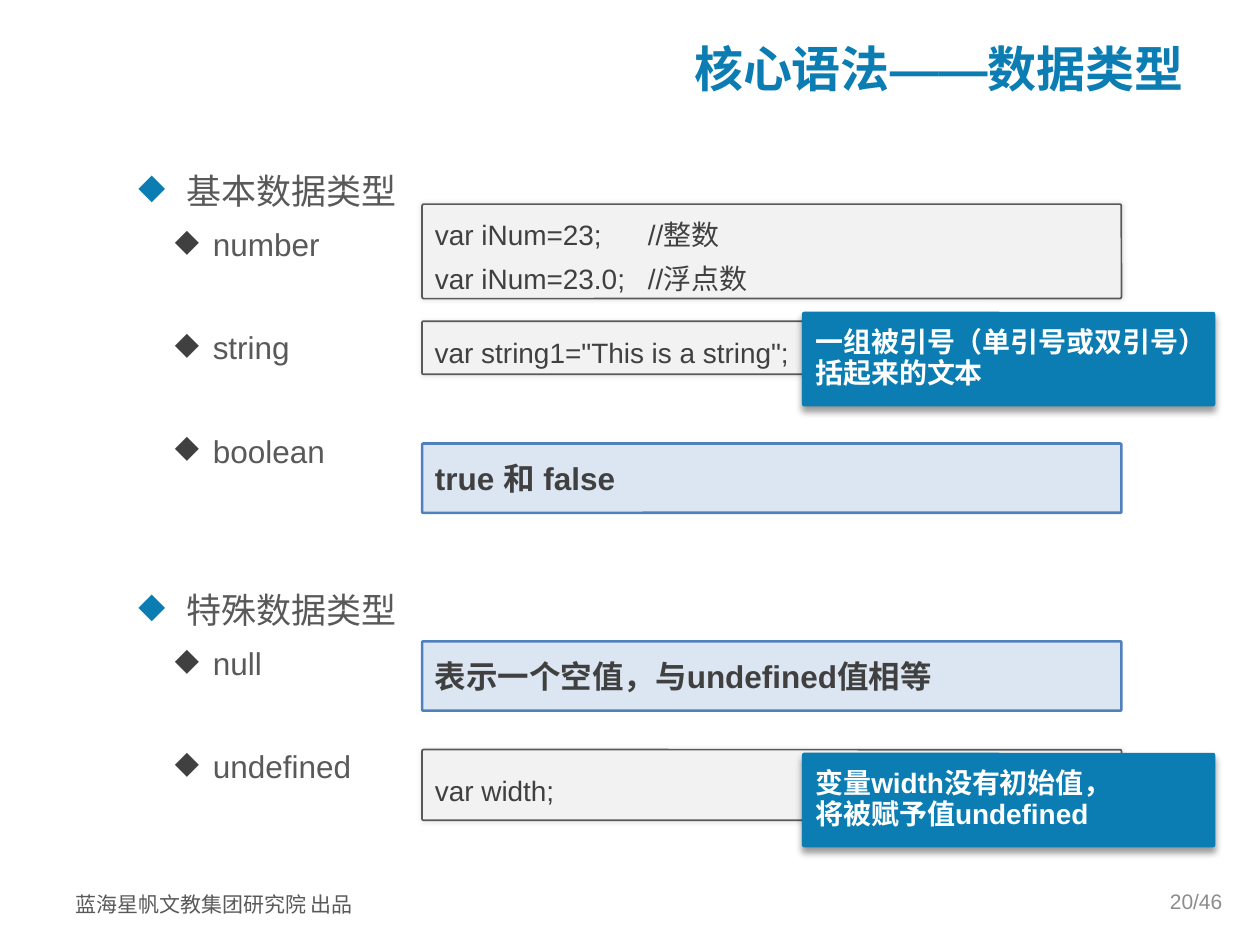
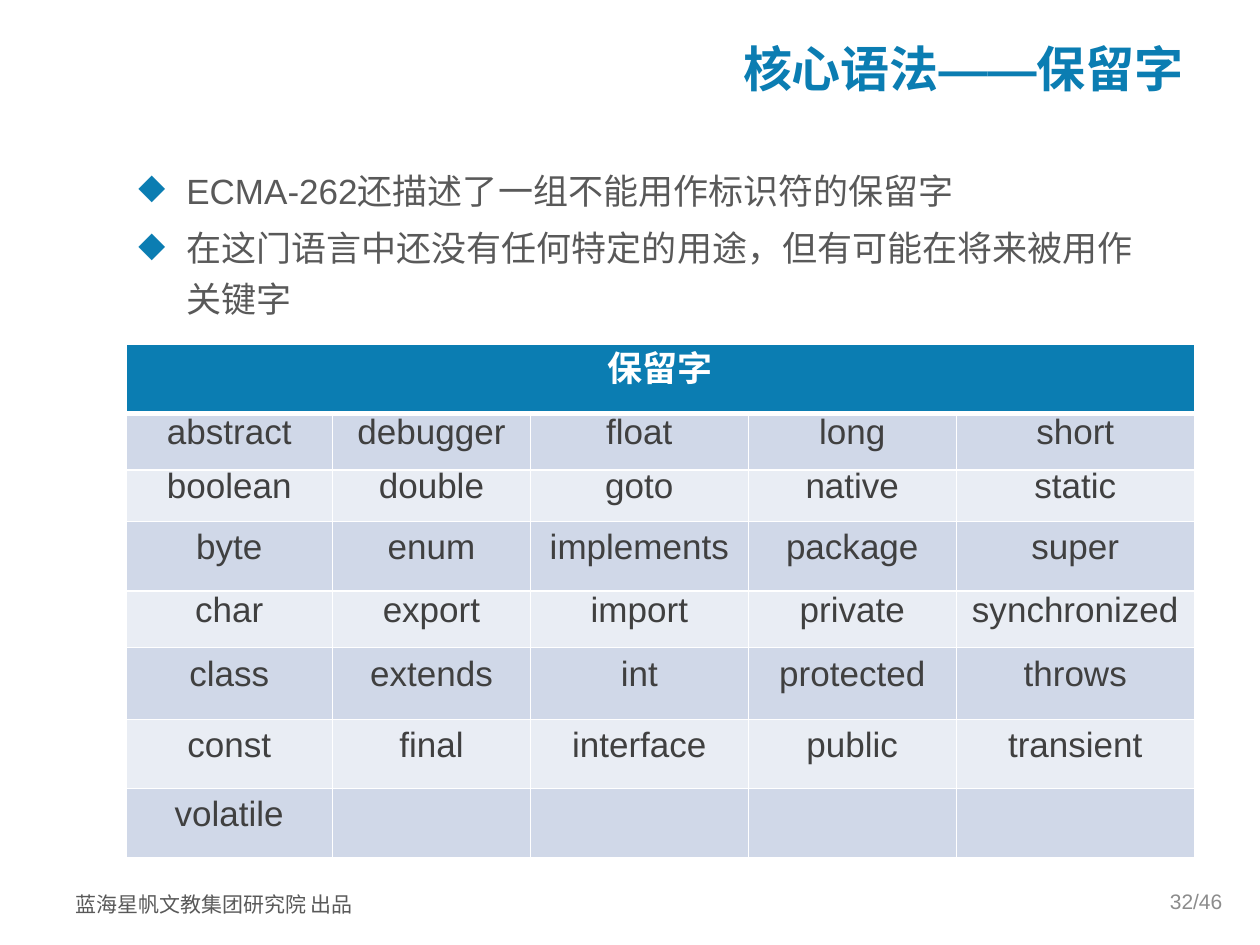
import pptx
import pptx.util
import pptx.dml.color
import pptx.enum.shapes
import pptx.enum.text
import pptx.oxml
from pptx.oxml.ns import qn

# ---- Content ----
FOOTER = "蓝海星帆文教集团研究院 出品"
TOTAL = 46

TYPES_TITLE = "核心语法——数据类型"
# (level, text, space before in points)
TYPES_OUTLINE = [
    (0, "基本数据类型", 0),
    (1, "number", 3.6),
    (1, "string", 33),
    (1, "boolean", 33),
    (0, "特殊数据类型", 63),
    (1, "null", 3.6),
    (1, "undefined", 33),
]
# (style, top, height, lines)
TYPES_BOXES = [
    ("code", 5.95, 0.56, ["var width;"]),
    ("code", 1.62, 0.75, ["var iNum=23;\t//整数", "var iNum=23.0;\t//浮点数"]),
    ("fact", 3.52, 0.55, ["true 和 false"]),
    ("fact", 5.09, 0.55, ["表示一个空值，与undefined值相等"]),
    ("code", 2.55, 0.42, ['var string1="This is a string";']),
    ("callout", 2.48, 0.74, ["一组被引号（单引号或双引号）\v括起来的文本"]),
    ("callout", 5.98, 0.74, ["变量width没有初始值，\v将被赋予值undefined"]),
]

WORDS_TITLE = "核心语法——保留字"
WORDS_OUTLINE = [
    (0, "ECMA-262还描述了一组不能用作标识符的保留字", 0),
    (0, "在这门语言中还没有任何特定的用途，但有可能在将来被用作关键字", 4),
]
WORDS_HEAD = "保留字"
# Listed alphabetically; the table fills column by column
WORDS = [
    "abstract boolean byte char class const volatile",
    "debugger double enum export extends final",
    "float goto implements import int interface",
    "long native package private protected public",
    "short static super synchronized throws transient",
]
WORD_COLS = [1.64, 1.57, 1.73, 1.65, 1.89]
WORD_ROWS = [0.55, 0.45, 0.41, 0.55, 0.45, 0.57, 0.55, 0.55]

# ---- Shared look ----
BLUE, GREY, DARK, WHITE, PALE = "0B7DB2", "595959", "404040", "FFFFFF", "8C8C8C"
BANDS = ["D0D8E8", "E9EDF4"]
LATIN, CJK = "Arial", "Noto Sans CJK SC"
LEFT, CONTENT_W = 1, 8.49
CODE_TAB = 1.69
# level: (size, indent, hanging, bullet colour)
LEVELS = {0: (20, 0.38, 0.38, BLUE), 1: (18, 0.59, 0.3, DARK)}
# shadow: (opacity %, blur, distance, direction)
BOXES = {
    "code": dict(x=3.35, w=5.55, fill="F2F2F2", line=GREY, weight=1, size=16,
                 color=DARK, bold=False, spacing=1.3, wrap=True, shadow=(10, 3, 0, 0)),
    "fact": dict(x=3.35, w=5.55, fill="DCE6F2", line="4F81BD", weight=1.5, size=18,
                 color=DARK, bold=True, spacing=1.0, wrap=True, shadow=None),
    "callout": dict(x=6.37, w=3.27, fill=BLUE, line=BLUE, weight=0.75, size=16,
                    color=WHITE, bold=True, spacing=0.9, wrap=False, shadow=(40, 4, 3, 90)),
}
ALIGN = pptx.enum.text.PP_ALIGN
MIDDLE = pptx.enum.text.MSO_ANCHOR.MIDDLE
TOP = pptx.enum.text.MSO_ANCHOR.TOP
NS = 'xmlns:a="http://schemas.openxmlformats.org/drawingml/2006/main"'


def inches(*values):
    return [pptx.util.Inches(v) for v in values]


def rgb(hex_color):
    return pptx.dml.color.RGBColor.from_string(hex_color)


def add_xml(parent, xml):
    """Append an element, given without its namespace declaration."""
    tag, rest = xml.split(" ", 1)
    parent.append(pptx.oxml.parse_xml(f"{tag} {NS} {rest}"))


def set_font(p, size, color, bold=False, name=LATIN):
    f = p.font
    f.size, f.bold, f.name = pptx.util.Pt(size), bold, name
    f.color.rgb = rgb(color)
    add_xml(p._p.pPr.find(qn("a:defRPr")), f'<a:ea typeface="{name}"/>')


def add_paragraph(tf, i):
    return tf.paragraphs[0] if i == 0 else tf.add_paragraph()


def add_text(s, box, text, size, color, align=ALIGN.LEFT, bold=False,
             name=LATIN, anchor=MIDDLE, spacing=1.0):
    tf = s.shapes.add_textbox(*inches(*box)).text_frame
    tf.word_wrap, tf.vertical_anchor = True, anchor
    p = tf.paragraphs[0]
    p.text, p.alignment, p.line_spacing = text, align, spacing
    set_font(p, size, color, bold, name)


def add_outline(s, items, width):
    tf = s.shapes.add_textbox(*inches(LEFT, 1.23, width, 4.72)).text_frame
    tf.word_wrap = True
    for i, (level, text, before) in enumerate(items):
        size, indent, hanging, bullet = LEVELS[level]
        p = add_paragraph(tf, i)
        p.text, p.level = text, level
        pPr = p._p.get_or_add_pPr()
        pPr.set("marL", str(pptx.util.Inches(indent)))
        pPr.set("indent", str(-pptx.util.Inches(hanging)))
        add_xml(pPr, f'<a:buClr ><a:srgbClr val="{bullet}"/></a:buClr>')
        add_xml(pPr, '<a:buChar char="◆"/>')
        p.line_spacing, p.space_before = 1.2, pptx.util.Pt(before)
        set_font(p, size, GREY)


def add_box(s, style, top, height, lines):
    look = BOXES[style]
    sp = s.shapes.add_shape(pptx.enum.shapes.MSO_SHAPE.ROUNDED_RECTANGLE,
                            *inches(look["x"], top, look["w"], height))
    sp.adjustments[0] = 0.018
    sp.fill.solid()
    sp.fill.fore_color.rgb = rgb(look["fill"])
    sp.line.color.rgb = rgb(look["line"])
    sp.line.width = pptx.util.Pt(look["weight"])
    sp.shadow.inherit = False
    if look["shadow"]:
        opacity, blur, dist, angle = look["shadow"]
        add_xml(sp._element.spPr.find(qn("a:effectLst")),
                f'<a:outerShdw blurRad="{blur * 12700}" dist="{dist * 12700}" '
                f'dir="{angle * 60000}" algn="ctr" rotWithShape="0"><a:srgbClr val="000000">'
                f'<a:alpha val="{opacity * 1000}"/></a:srgbClr></a:outerShdw>')
    tf = sp.text_frame
    tf.word_wrap, tf.vertical_anchor = look["wrap"], MIDDLE
    for i, line in enumerate(lines):
        p = add_paragraph(tf, i)
        p.text, p.alignment, p.line_spacing = line, ALIGN.LEFT, look["spacing"]
        if "\t" in line:
            add_xml(p._p.pPr, f'<a:tabLst ><a:tab pos="{pptx.util.Inches(CODE_TAB)}" '
                              'algn="l"/></a:tabLst>')
        set_font(p, look["size"], look["color"], look["bold"])


def style_cell(cell, text, fill, color, bold, below):
    cell.margin_left = cell.margin_right = pptx.util.Inches(0.07)
    cell.margin_top = cell.margin_bottom = 0
    cell.vertical_anchor = MIDDLE
    for side, weight in zip("LRTB", (1, 1, 1, below)):
        add_xml(cell._tc.get_or_add_tcPr(),
                f'<a:ln{side} w="{weight * 12700}"><a:solidFill><a:srgbClr val="{WHITE}"/>'
                f'</a:solidFill></a:ln{side}>')
    cell.fill.solid()
    cell.fill.fore_color.rgb = rgb(fill)
    p = cell.text_frame.paragraphs[0]
    p.text, p.alignment, p.line_spacing = text, ALIGN.CENTER, pptx.util.Pt(12)
    set_font(p, 20, color, bold)


def add_word_table(s):
    n_rows, n_cols = len(WORD_ROWS), len(WORD_COLS)
    box = inches(LEFT, 2.73, sum(WORD_COLS), sum(WORD_ROWS))
    table = s.shapes.add_table(n_rows, n_cols, *box).table
    for column, width in zip(table.columns, WORD_COLS):
        column.width = pptx.util.Inches(width)
    for row, height in zip(table.rows, WORD_ROWS):
        row.height = pptx.util.Inches(height)
    table.cell(0, 0).merge(table.cell(0, n_cols - 1))
    for c, words in enumerate(WORDS):
        style_cell(table.cell(0, c), WORDS_HEAD if c == 0 else "", BLUE, WHITE, True, 3)
        column_words = words.split()
        for r in range(1, n_rows):
            text = column_words[r - 1] if r <= len(column_words) else ""
            style_cell(table.cell(r, c), text, BANDS[(r - 1) % 2], DARK, False, 1)


def new_slide(prs, title, number):
    s = prs.slides.add_slide(prs.slide_layouts[6])
    add_text(s, (0.5, 6.99, 2.53, 0.34), FOOTER, 12, GREY, name=CJK, anchor=TOP, spacing=1.2)
    add_text(s, (LEFT, 0.31, CONTENT_W, 0.45), title, 28, BLUE, ALIGN.RIGHT, bold=True)
    add_text(s, (7.47, 6.95, 2.33, 0.4), f"{number}/{TOTAL}", 12, PALE, ALIGN.RIGHT)
    return s


def main():
    prs = pptx.Presentation()
    prs.slide_width, prs.slide_height = inches(10, 7.5)

    # Data types
    s = new_slide(prs, TYPES_TITLE, 20)
    add_outline(s, TYPES_OUTLINE, CONTENT_W)
    for box in TYPES_BOXES:
        add_box(s, *box)

    # Reserved words
    s = new_slide(prs, WORDS_TITLE, 32)
    add_outline(s, WORDS_OUTLINE, 8.25)
    add_word_table(s)

    prs.save("out.pptx")


if __name__ == "__main__":
    main()
